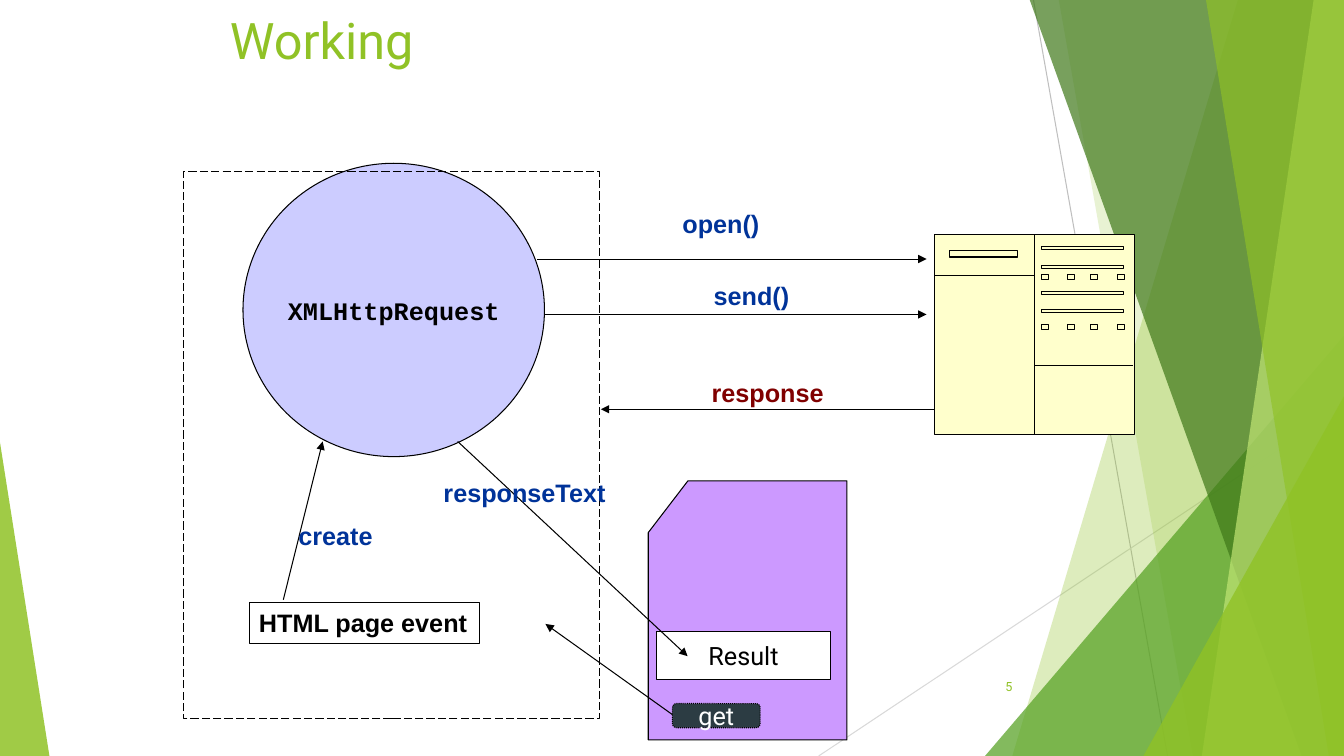
from lxml.etree import SubElement
from pptx import Presentation
from pptx.dml.color import RGBColor
from pptx.enum.dml import MSO_LINE
from pptx.enum.shapes import MSO_CONNECTOR, MSO_SHAPE as SHAPE
from pptx.enum.text import MSO_ANCHOR as ANCHOR, MSO_AUTO_SIZE as AUTO, PP_ALIGN as ALIGN
from pptx.oxml.ns import qn
from pptx.util import Pt

PX = 9144
BLACK = RGBColor(0x00, 0x00, 0x00)
WHITE = RGBColor(0xFF, 0xFF, 0xFF)
GREEN = RGBColor(0x90, 0xC2, 0x26)
MID_GREEN = RGBColor(0x54, 0xA0, 0x21)
DARK_GREEN = RGBColor(0x3F, 0x78, 0x19)
LIGHT_GREEN = RGBColor(0xC0, 0xE4, 0x74)
GREY = RGBColor(0xBF, 0xBF, 0xBF)
LIGHT_GREY = RGBColor(0xD9, 0xD9, 0xD9)
LAVENDER = RGBColor(0xCC, 0xCC, 0xFF)
PURPLE = RGBColor(0xCC, 0x99, 0xFF)
CREAM = RGBColor(0xFF, 0xFF, 0xCC)
SLATE = RGBColor(0x2C, 0x3C, 0x43)
BLUE = RGBColor(0x00, 0x33, 0x99)
MAROON = RGBColor(0x80, 0x00, 0x00)


def paint(shape, fill, line=None, opacity=100, dash=None):
    shape.shadow.inherit = False
    if fill is None:
        shape.fill.background()
    else:
        shape.fill.solid()
        shape.fill.fore_color.rgb = fill
        if opacity < 100:
            color = shape._element.spPr.find(".//" + qn("a:srgbClr"))
            SubElement(color, qn("a:alpha"), val=str(opacity * 1000))
    if line is None:
        shape.line.fill.background()
    else:
        shape.line.color.rgb = line
        shape.line.width = Pt(0.75)
        if dash:
            shape.line.dash_style = dash


def write(box, text, font, size, color, bold=False, align=ALIGN.LEFT, anchor=ANCHOR.TOP, wrap=False):
    frame = box.text_frame
    frame.word_wrap = wrap
    frame.auto_size = AUTO.NONE
    frame.vertical_anchor = anchor
    para = frame.paragraphs[0]
    para.alignment = align
    span = para.add_run()
    span.text = text
    span.font.name = font
    span.font.size = Pt(size)
    span.font.bold = bold
    span.font.color.rgb = color


deck = Presentation()
deck.slide_width, deck.slide_height = 1333 * PX, 750 * PX
page = deck.slides.add_slide(deck.slide_layouts[5])
shapes = page.shapes

title = shapes.title
title.left, title.top, title.width, title.height = 218 * PX, 4 * PX, 850 * PX, 88 * PX
write(title, "Working", "Roboto", 36, GREEN, wrap=True)

for x1, y1, x2, y2, color in [(1025, 0, 1158, 750, GREY), (1333, 403, 812, 750, LIGHT_GREY)]:
    ray = shapes.add_connector(MSO_CONNECTOR.STRAIGHT, x1 * PX, y1 * PX, x2 * PX, y2 * PX)
    ray.line.color.rgb = color
    ray.line.width = Pt(0.75)
    SubElement(ray._element.spPr, qn("a:effectLst"))

bands = [
    (1228, 1004, GREEN, 30),
    (1050, 1183, GREEN, 20),
    (977, 333, 356, 417, 1, MID_GREEN, 72),
    (1021, 1291, DARK_GREEN, 70),
    (1303, 1192, LIGHT_GREEN, 70),
    (1196, 1318, GREEN, 65),
    (1134, 393, 199, 357, 1, GREEN, 80),
    (0, 439, 49, 311, 0, GREEN, 85),
]
for *place, color, opacity in bands:
    if len(place) == 2:
        top_x, bottom_x = place
        outline = shapes.build_freeform(top_x, -1, scale=PX)
        outline.add_line_segments([(1333, -1), (1333, 750), (bottom_x, 750)])
        band = outline.convert_to_shape()
    else:
        *frame, apex = place
        band = shapes.add_shape(SHAPE.ISOSCELES_TRIANGLE, *[n * PX for n in frame])
        band.adjustments[0] = apex
    paint(band, color, opacity=opacity)

page_number = shapes.add_textbox(939 * PX, 661 * PX, 75 * PX, 40 * PX)
write(page_number, "5", "Roboto", 9, GREEN, align=ALIGN.RIGHT, anchor=ANCHOR.MIDDLE, wrap=True)

request = shapes.add_shape(SHAPE.OVAL, 241 * PX, 162 * PX, 299 * PX, 291 * PX)
paint(request, LAVENDER, BLACK)
write(request, "XMLHttpRequest", "Courier New", 18, BLACK, True, ALIGN.CENTER, ANCHOR.MIDDLE)

event = shapes.add_shape(SHAPE.RECTANGLE, 247 * PX, 598 * PX, 229 * PX, 40 * PX)
paint(event, None, BLACK)
write(event, "HTML page event", "Arial", 18, BLACK, True)

server = shapes.add_shape(SHAPE.RECTANGLE, 927 * PX, 233 * PX, 198 * PX, 198 * PX)
paint(server, CREAM, BLACK)

slots = [(942, 249, 67, 6)] + [(1033, y, 81, 3) for y in (245, 263, 289, 307)]
lights = [(x, y, 7, 5) for y in (272, 322) for x in (1033, 1059, 1082, 1108)]
panel = shapes.build_freeform(1026, 233, scale=PX)
panel.add_line_segments([(1026, 431)], close=False)
for start, end in [((927, 273), (1026, 273)), ((1026, 363), (1124, 363))]:
    panel.move_to(*start)
    panel.add_line_segments([end], close=False)
for x, y, width, height in slots + lights:
    panel.move_to(x, y)
    panel.add_line_segments([(x + width, y), (x + width, y + height), (x, y + height)])
paint(panel.convert_to_shape(), None, BLACK)

card = shapes.add_shape(SHAPE.FLOWCHART_CARD, 643 * PX, 477 * PX, 197 * PX, 257 * PX)
paint(card, PURPLE, BLACK)

result = shapes.add_shape(SHAPE.RECTANGLE, 651 * PX, 627 * PX, 173 * PX, 47 * PX)
paint(result, WHITE, BLACK)
write(result, "Result", "Roboto", 18, BLACK, align=ALIGN.CENTER, anchor=ANCHOR.MIDDLE)

browser = shapes.add_shape(SHAPE.RECTANGLE, 182 * PX, 170 * PX, 413 * PX, 543 * PX)
paint(browser, None, BLACK, dash=MSO_LINE.LONG_DASH)

arrows = [
    (281, 595, 320, 438),
    (533, 257, 919, 257),
    (541, 312, 919, 312),
    (927, 406, 596, 406),
    (454, 438, 682, 651),
    (674, 714, 541, 619),
]
for x1, y1, x2, y2 in arrows:
    arrow = shapes.add_connector(MSO_CONNECTOR.STRAIGHT, x1 * PX, y1 * PX, x2 * PX, y2 * PX)
    arrow.line.color.rgb = BLACK
    arrow.line.width = Pt(0.75)
    SubElement(arrow.line._get_or_add_ln(), qn("a:tailEnd"), type="triangle")
    SubElement(arrow._element.spPr, qn("a:effectLst"))

button = shapes.add_shape(SHAPE.FLOWCHART_ALTERNATE_PROCESS, 667 * PX, 698 * PX, 87 * PX, 24 * PX)
paint(button, SLATE, BLACK, dash=MSO_LINE.ROUND_DOT)
write(button, "get", "Roboto", 18, WHITE, align=ALIGN.CENTER, anchor=ANCHOR.MIDDLE)

labels = [
    ("create", 286, 511, 95, BLUE),
    ("open()", 667, 202, 97, BLUE),
    ("send()", 698, 273, 96, BLUE),
    ("response", 696, 369, 132, MAROON),
    ("responseText", 430, 469, 182, BLUE),
]
for text, left, top, width, color in labels:
    label = shapes.add_textbox(left * PX, top * PX, width * PX, 40 * PX)
    write(label, text, "Arial", 18, color, True)

deck.save("out.pptx")
